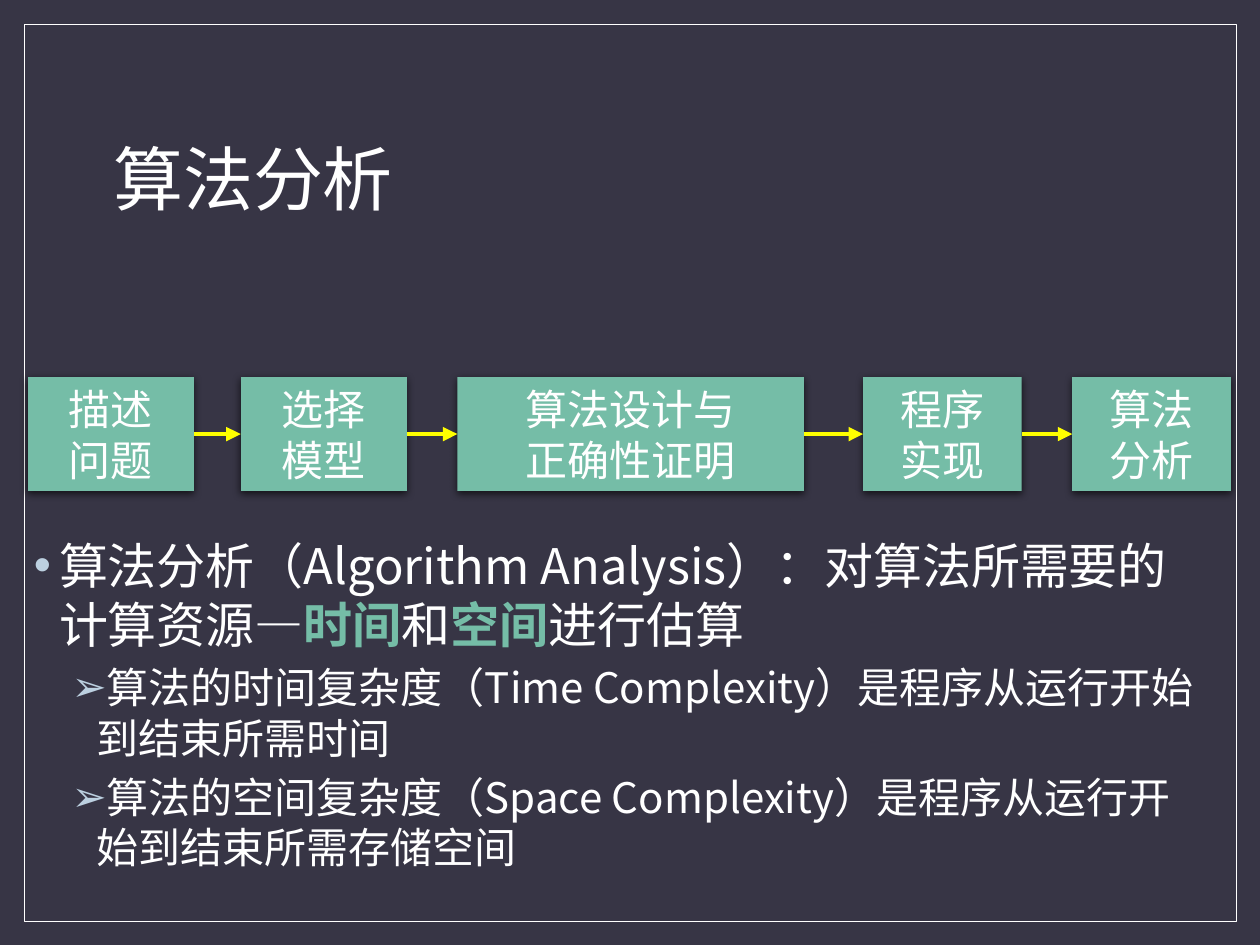
from lxml import etree
from pptx import Presentation
from pptx.dml.color import RGBColor
from pptx.enum.shapes import MSO_CONNECTOR, MSO_SHAPE
from pptx.enum.text import MSO_ANCHOR, PP_ALIGN
from pptx.oxml.ns import qn
from pptx.util import Inches, Pt

RECT = MSO_SHAPE.RECTANGLE
LINE = MSO_CONNECTOR.STRAIGHT
MIDDLE = MSO_ANCHOR.MIDDLE
CENTER = PP_ALIGN.CENTER
LEFT = PP_ALIGN.LEFT

NAVY = RGBColor(0x37, 0x35, 0x45)
WHITE = RGBColor(0xFF, 0xFF, 0xFF)
GREEN = RGBColor(0x75, 0xBD, 0xA7)
DEEP = RGBColor(0x72, 0xBD, 0xA6)
YELLOW = RGBColor(0xFF, 0xFF, 0x00)
PALE = RGBColor(0xBC, 0xD0, 0xE0)
FACE = "Noto Sans CJK SC"

STEPS = [
    (0.22, 1.32, ("描述", "问题")),
    (1.91, 1.32, ("选择", "模型")),
    (3.63, 2.75, ("算法设计与", "正确性证明")),
    (6.85, 1.26, ("程序", "实现")),
    (8.51, 1.26, ("算法", "分析")),
]
LEAD = [
    ("算法分析（Algorithm Analysis）：对算法所需要的计算资源—", False),
    ("时间", True),
    ("和", False),
    ("空间", True),
    ("进行估算", False),
]
POINTS = [
    "算法的时间复杂度（Time Complexity）是程序从运行开始到结束所需时间",
    "算法的空间复杂度（Space Complexity）是程序从运行开始到结束所需存储空间",
]


def add(parent, tag, **attrs):
    """Append a DrawingML element and return it."""
    return etree.SubElement(parent, qn(tag), attrs)


class Deck:
    """Holds the style and the current slide."""

    def __init__(self):
        self.prs = Presentation()
        self.prs.slide_width, self.prs.slide_height = Inches(10), Inches(7.5)
        self.slide = self.prs.slides.add_slide(self.prs.slide_layouts[6])
        self.slide.background.fill.solid()
        self.slide.background.fill.fore_color.rgb = NAVY

    def style(self, font, size, color=WHITE, bold=None):
        font.size, font.name, font.bold = Pt(size), FACE, bold
        font.color.rgb = color
        add(font._element, "a:ea", typeface=FACE)

    def shape(self, x, y, w, h):
        box = self.slide.shapes.add_shape(RECT, Inches(x), Inches(y), Inches(w), Inches(h))
        box.shadow.inherit = False
        return box

    def frame(self, x, y, w, h):
        box = self.shape(x, y, w, h)
        box.fill.background()
        box.line.color.rgb, box.line.width = WHITE, Pt(0.5)

    def text(self, x, y, w, h):
        box = self.slide.shapes.add_textbox(Inches(x), Inches(y), Inches(w), Inches(h))
        box.text_frame.word_wrap = True
        return box.text_frame

    def title(self, words, *place):
        frame = self.text(*place)
        frame.vertical_anchor = MIDDLE
        para = frame.paragraphs[0]
        para.text, para.line_spacing = words, 0.9
        self.style(para.font, 40)

    def step(self, x, y, w, h, lines):
        box = self.shape(x, y, w, h)
        box.line.fill.background()
        box.fill.gradient()
        box.fill.gradient_angle = 270
        for stop, color in zip(box.fill.gradient_stops, (GREEN, DEEP)):
            stop.color.rgb = color
        glow = add(box._element.spPr.find(qn("a:effectLst")), "a:outerShdw",
                   blurRad=str(Pt(4.5)), dist=str(Pt(1.5)), dir="5400000", rotWithShape="0")
        add(add(glow, "a:srgbClr", val="000000"), "a:alpha", val="63000")
        frame = box.text_frame
        frame.word_wrap, frame.vertical_anchor = True, MIDDLE
        frame.text = "\n".join(lines)
        for para in frame.paragraphs:
            para.alignment = CENTER
            self.style(para.font, 24)
        return box

    def arrow(self, start, end):
        line = self.slide.shapes.add_connector(LINE, 0, 0, 0, 0)
        line.begin_connect(start, 3)
        line.end_connect(end, 1)
        line.line.color.rgb, line.line.width = YELLOW, Pt(2.75)
        add(line.line._get_or_add_ln(), "a:tailEnd", type="triangle")
        add(line._element.spPr, "a:effectLst")

    def bullet(self, para, mark, left, level=0):
        para.level, para.alignment = level, LEFT
        props = para._p.get_or_add_pPr()
        props.set("marL", str(Inches(left)))
        props.set("indent", str(Inches(-0.2)))
        add(add(props, "a:buClr"), "a:srgbClr", val=str(PALE))
        add(props, "a:buFont", typeface="Arial")
        add(props, "a:buChar", char=mark)

    def body(self, lead, points, *place):
        frame = self.text(*place)
        para = frame.paragraphs[0]
        self.bullet(para, "•", 0.2)
        for words, key in lead:
            run = para.add_run()
            run.text = words
            self.style(run.font, 28, GREEN if key else WHITE, key)
        for words in points:
            para = frame.add_paragraph()
            para.text, para.space_before = words, Pt(5)
            self.bullet(para, "➢", 0.5, 1)
            self.style(para.font, 24)


def main():
    deck = Deck()
    deck.frame(0.19, 0.19, 9.62, 7.12)
    deck.title("算法分析", 0.8, 0.7, 8.4, 1.5)
    deck.body(LEAD, POINTS, 0.17, 4.2, 9.52, 1.51)
    boxes = [deck.step(x, 2.99, w, 0.91, lines) for x, w, lines in STEPS]
    for start, end in zip(boxes, boxes[1:]):
        deck.arrow(start, end)
    deck.prs.save("out.pptx")


if __name__ == "__main__":
    main()
